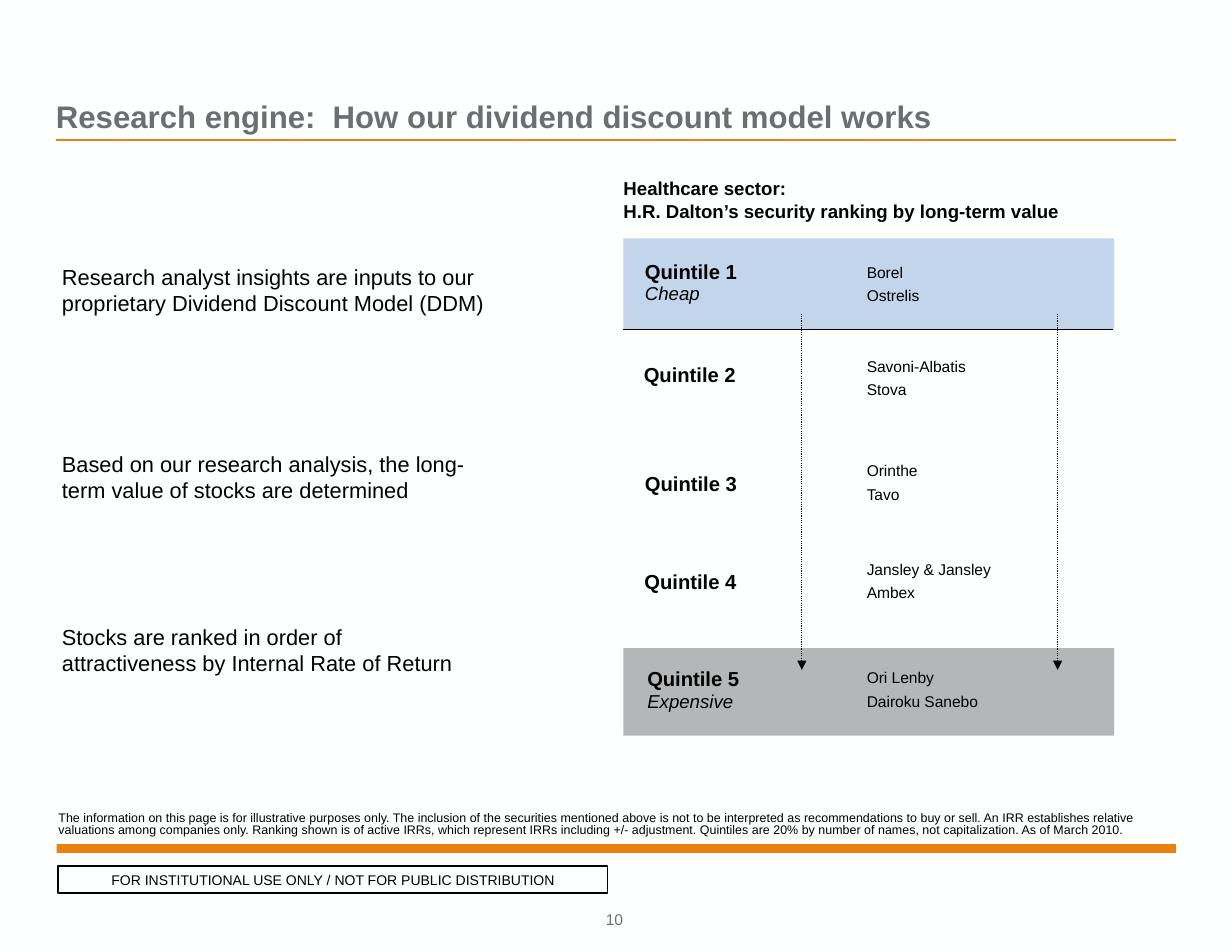
from lxml.etree import SubElement
from pptx import Presentation
from pptx.dml.color import RGBColor
from pptx.enum.dml import MSO_LINE_DASH_STYLE as Dash
from pptx.enum.shapes import MSO_CONNECTOR as Connector, MSO_SHAPE as Shape
from pptx.enum.text import MSO_ANCHOR as Anchor, PP_ALIGN as Align
from pptx.oxml.ns import qn
from pptx.util import Pt

BLACK = RGBColor(0x00, 0x00, 0x00)
GRAY = RGBColor(0x6D, 0x6E, 0x71)
ORANGE = RGBColor(0xE8, 0x81, 0x0D)
BLUE = RGBColor(0xC3, 0xD5, 0xEB)
PAPER = RGBColor(0xFE, 0xFF, 0xFF)


class Page:
    font = "Arial"

    def __init__(self, deck):
        self.page = deck.slides.add_slide(deck.slide_layouts[6])
        fill = self.page.background.fill
        fill.solid()
        fill.fore_color.rgb = PAPER

    def style(self, para, size, color=BLACK, bold=False, italic=False):
        for span in para.runs:
            span.font.name = self.font
            span.font.size = Pt(size)
            span.font.color.rgb = color
            span.font.bold = bold
            span.font.italic = italic

    def text(self, left, top, width, height, content, size, color=BLACK, bold=False,
             anchor=Anchor.TOP, align=Align.LEFT, insets=(0, 0), spacing=None):
        box = self.page.shapes.add_textbox(Pt(left), Pt(top), Pt(width), Pt(height))
        frame = box.text_frame
        frame.word_wrap = True
        frame.vertical_anchor = anchor
        frame.margin_left = frame.margin_right = Pt(insets[0])
        frame.margin_top = frame.margin_bottom = Pt(insets[1])
        frame.text = content
        for para in frame.paragraphs:
            para.alignment = align
            para.line_spacing = spacing
            self.style(para, size, color, bold)
        return frame

    def label(self, left, top, name, note):
        content = f"{name}\n{note}" if note else name
        frame = self.text(left, top, 84, 46.8, content, 13, bold=True, anchor=Anchor.MIDDLE,
                          insets=(7.2, 3.6), spacing=0.95 if note else None)
        if note:
            self.style(frame.paragraphs[1], 12, italic=True)

    def stocks(self, top, names):
        frame = self.text(543.4, top, 120, 33.1, "\n".join(names), 10,
                          insets=(13.8, 2.6), spacing=1.05)
        for para in frame.paragraphs[1:]:
            para.space_before = Pt(2.5)

    def bar(self, left, top, width, height, color=None, alpha=None):
        shape = self.page.shapes.add_shape(Shape.RECTANGLE, Pt(left), Pt(top),
                                           Pt(width), Pt(height))
        shape.shadow.inherit = False
        shape.line.fill.background()
        if color is None:
            shape.fill.background()
            return shape
        shape.fill.solid()
        shape.fill.fore_color.rgb = color
        if alpha:
            tint = shape.fill._xPr.find(".//" + qn("a:srgbClr"))
            SubElement(tint, qn("a:alpha"), val=str(alpha * 1000))
        return shape

    def stamp(self, left, top, width, height, content):
        shape = self.bar(left, top, width, height)
        shape.line.color.rgb = BLACK
        shape.line.width = Pt(1)
        frame = shape.text_frame
        frame.vertical_anchor = Anchor.MIDDLE
        frame.text = content
        frame.paragraphs[0].alignment = Align.CENTER
        self.style(frame.paragraphs[0], 9)

    def line(self, left, top, right, bottom, color, width):
        line = self.page.shapes.add_connector(Connector.STRAIGHT, Pt(left), Pt(top),
                                              Pt(right), Pt(bottom))
        line.line.color.rgb = color
        line.line.width = Pt(width)
        SubElement(line._element.spPr, qn("a:effectLst"))
        return line

    def arrow(self, left, top, bottom):
        line = self.line(left, top, left, bottom, BLACK, 0.75)
        line.line.dash_style = Dash.ROUND_DOT
        SubElement(line.line._get_or_add_ln(), qn("a:tailEnd"), type="triangle")


QUINTILES = [
    (407.5, 158.4, "Quintile 1", "Cheap", 165.6, ["Borel", "Ostrelis"]),
    (406.8, 217.4, "Quintile 2", None, 226.1, ["Savoni-Albatis", "Stova"]),
    (407.5, 287.6, "Quintile 3", None, 293.4, ["Orinthe", "Tavo"]),
    (407.2, 350.2, "Quintile 4", None, 356.7, ["Jansley & Jansley", "Ambex"]),
    (409, 420.5, "Quintile 5", "Expensive", 426.3, ["Ori Lenby", "Dairoku Sanebo"]),
]
STEPS = [
    (169.2, 281, "Research analyst insights are inputs to our "
                 "proprietary Dividend Discount Model (DDM)"),
    (289.4, 286, "Based on our research analysis, the long-term value of stocks are determined"),
    (401, 270, "Stocks are ranked in order of attractiveness by Internal Rate of Return"),
]
DISCLAIMER = (
    "The information on this page is for illustrative purposes only. The inclusion of the "
    "securities mentioned above is not to be interpreted as recommendations to buy or sell. "
    "An IRR establishes relative valuations among companies only. Ranking shown is of active "
    "IRRs, which represent IRRs including +/- adjustment. Quintiles are 20% by number of "
    "names, not capitalization. As of March 2010."
)


def main():
    deck = Presentation()
    deck.slide_width, deck.slide_height = Pt(792), Pt(612)
    page = Page(deck)

    page.bar(36.5, 542.7, 719.5, 5.6, ORANGE)
    page.line(36, 90, 756, 90, ORANGE, 1)
    page.text(380, 584.6, 30, 12.2, "10", 10, GRAY, anchor=Anchor.BOTTOM, align=Align.CENTER)
    page.text(37.6, 522, 720, 16.6, DISCLAIMER, 8, spacing=0.85)
    page.text(36, 62.6, 720, 23.8, "Research engine:  How our dividend discount model works",
              20, GRAY, bold=True)
    page.text(400.8, 113.8, 342, 28.8,
              "Healthcare sector:\vH.R. Dalton’s security ranking by long-term value",
              12, bold=True)

    page.line(414.7, 211.7, 715, 211.7, GRAY, 1)
    page.bar(400.8, 153.2, 315.4, 58.8, BLUE)
    page.line(400.8, 211.7, 715.7, 211.7, BLACK, 0.25)
    page.bar(400.8, 416.7, 315.4, 56.2, GRAY, alpha=50)
    for left, top, name, note, stock_top, stocks in QUINTILES:
        page.label(left, top, name, note)
        page.stocks(stock_top, stocks)
    for left in (515.5, 679.9):
        page.arrow(left, 201.6, 430.6)

    for top, width, content in STEPS:
        page.text(39.8, top, width, 33.8, content, 14, anchor=Anchor.MIDDLE)
    page.stamp(37.4, 556.8, 353.2, 17.2,
               "FOR INSTITUTIONAL USE ONLY / NOT FOR PUBLIC DISTRIBUTION")
    deck.save("out.pptx")


if __name__ == "__main__":
    main()
